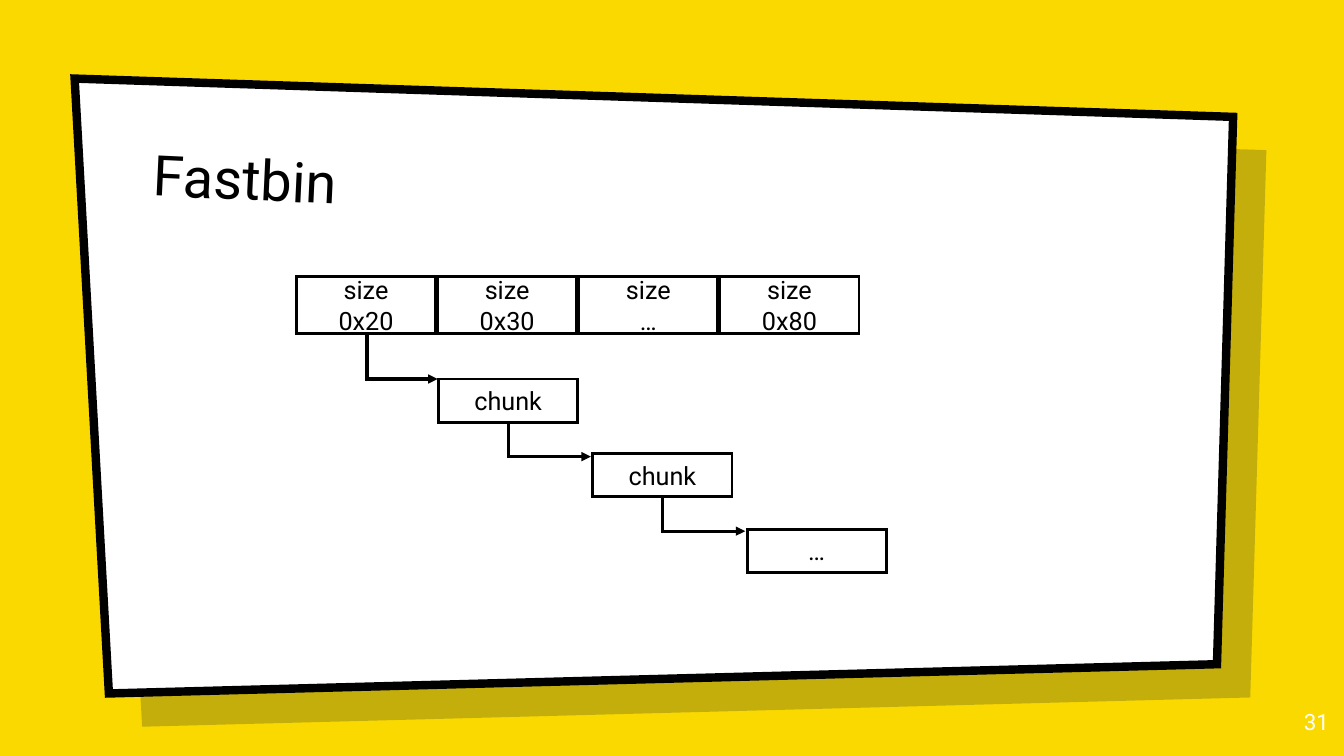
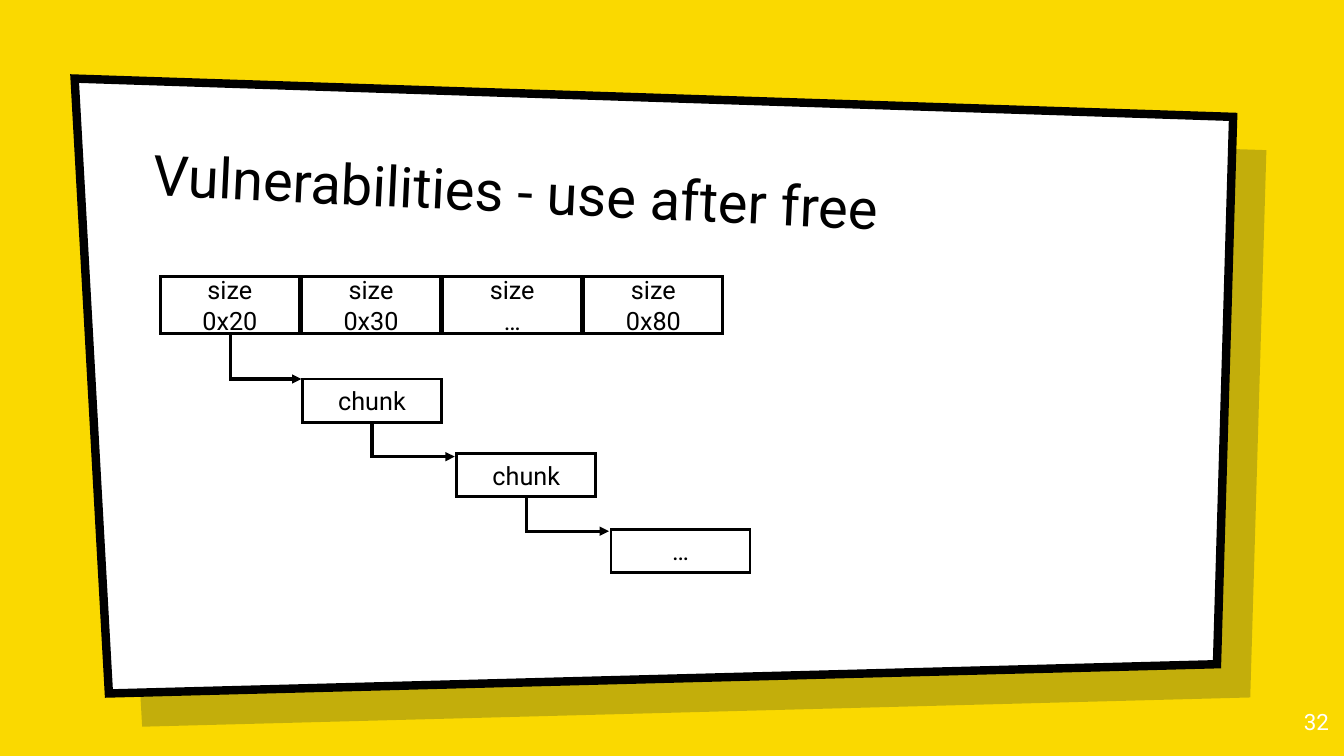
import dataclasses

import lxml.etree
import pptx
import pptx.dml.color
import pptx.enum.shapes
import pptx.enum.text
import pptx.oxml.ns
import pptx.util

Inches = pptx.util.Inches
Pt = pptx.util.Pt
Align = pptx.enum.text.PP_ALIGN
Anchor = pptx.enum.text.MSO_ANCHOR


@dataclasses.dataclass(frozen=True)
class Theme:
    font: str = "Roboto"
    back: str = "FAD900"
    shade: str = "001936"
    ink: str = "000000"
    paper: str = "FFFFFF"
    title: int = 40
    body: int = 18
    page: int = 16
    frame: float = 6
    edge: float = 2
    arrow: float = 2.25


THEME = Theme()
CARD = [(0.74, 0.78), (12.23, 1.16), (12.07, 6.59), (1.08, 6.88)]
SHIFT = 0.33
SIZES = ["0x20", "0x30", "…", "0x80"]
CHUNKS = [("chunk", 1.41, 3.76), ("chunk", 2.94, 4.5), ("…", 4.47, 5.25)]
ARROWS = [(0.7, 3.31, 0.7, 0.45), (2.1, 4.19, 0.82, 0.34), (3.63, 4.93, 0.82, 0.34)]
BOX = 1.38
STEP = 1.4


def color(code):
    return pptx.dml.color.RGBColor.from_string(code)


def child(parent, tag, **attrs):
    return lxml.etree.SubElement(parent, pptx.oxml.ns.qn(tag), attrs)


def paint(shape, fill, width=None):
    shape.shadow.inherit = False
    shape.fill.solid()
    shape.fill.fore_color.rgb = color(fill)
    if width is None:
        shape.line.fill.background()
    else:
        shape.line.width = Pt(width)
        shape.line.color.rgb = color(THEME.ink)
        child(shape.line._get_or_add_ln(), "a:miter", lim="800000")


def write(shape, text, size, ink, align, anchor, inset=0.05):
    frame = shape.text_frame
    frame.text = text
    frame.word_wrap = True
    frame.auto_size = pptx.enum.text.MSO_AUTO_SIZE.NONE
    frame.vertical_anchor = anchor
    frame.margin_left = frame.margin_right = Inches(0.1)
    frame.margin_top = frame.margin_bottom = Inches(inset)
    for para in frame.paragraphs:
        para.alignment = align
        for run in para.runs:
            run.font.name = THEME.font
            run.font.size = Pt(size)
            run.font.color.rgb = color(ink)


def add_card(slide, shift, fill, width=None):
    points = [(Inches(x + shift), Inches(y + shift)) for x, y in CARD]
    outline = slide.shapes.build_freeform(*points[0])
    outline.add_line_segments(points[1:])
    card = outline.convert_to_shape()
    paint(card, fill, width)
    return card


def add_frame(slide):
    shade = add_card(slide, SHIFT, THEME.shade)
    tint = shade.element.spPr.find(".//" + pptx.oxml.ns.qn("a:srgbClr"))
    child(tint, "a:alpha", val="22000")
    card = add_card(slide, 0, THEME.paper, THEME.frame)
    tree = slide.slide_layout.shapes.element
    tree.insert(2, shade.element)
    tree.insert(3, card.element)


def add_title(slide, text):
    title = slide.shapes.title
    title.left, title.top = Inches(1.42), Inches(1.28)
    title.width, title.height = Inches(10.25), Inches(1.11)
    title.rotation = 2.7
    write(title, text, THEME.title, THEME.ink, Align.LEFT, Anchor.BOTTOM, 0.1)


def add_page(slide, number):
    box = slide.shapes.add_textbox(Inches(12.48), Inches(6.93), Inches(0.8), Inches(0.57))
    write(box, str(number), THEME.page, THEME.paper, Align.RIGHT, Anchor.TOP, 0.1)


def add_box(slide, text, left, top, height):
    box = slide.shapes.add_shape(
        pptx.enum.shapes.MSO_SHAPE.RECTANGLE,
        Inches(left), Inches(top), Inches(BOX), Inches(height),
    )
    paint(box, THEME.paper, THEME.edge)
    write(box, text, THEME.body, THEME.ink, Align.CENTER, Anchor.MIDDLE)


def add_arrow(slide, left, top, run, drop):
    mid_x, mid_y = left + run / 2, top + drop / 2
    arrow = slide.shapes.add_connector(
        pptx.enum.shapes.MSO_CONNECTOR.ELBOW,
        Inches(mid_x + drop / 2), Inches(mid_y - run / 2),
        Inches(mid_x - drop / 2), Inches(mid_y + run / 2),
    )
    arrow.line.width = Pt(THEME.arrow)
    arrow.line.color.rgb = color(THEME.ink)
    props = arrow.element.spPr
    props.find(pptx.oxml.ns.qn("a:xfrm")).set("rot", "16200000")
    props.find(pptx.oxml.ns.qn("a:prstGeom")).set("prst", "bentConnector2")
    line = arrow.line._get_or_add_ln()
    child(line, "a:miter", lim="800000")
    child(line, "a:tailEnd", type="triangle")
    child(props, "a:effectLst")


def add_bins(slide, left):
    for index, size in enumerate(SIZES):
        add_box(slide, f"size\n{size}", left + index * STEP, 2.74, 0.57)
    for text, shift, top in CHUNKS:
        add_box(slide, text, left + shift, top, 0.43)
    for shift, top, run, drop in ARROWS:
        add_arrow(slide, left + shift, top, run, drop)


def add_slide(deck, layout, title, number, left):
    slide = deck.slides.add_slide(layout)
    add_title(slide, title)
    add_page(slide, number)
    add_bins(slide, left)
    return slide


def main():
    deck = pptx.Presentation()
    deck.slide_width, deck.slide_height = Inches(13.33), Inches(7.5)
    back = deck.slide_master.background.fill
    back.solid()
    back.fore_color.rgb = color(THEME.back)
    layout = deck.slide_layouts.get_by_name("Title Only")
    first = add_slide(deck, layout, "Fastbin", 31, 2.94)
    add_frame(first)
    add_slide(deck, layout, "Vulnerabilities - use after free", 32, 1.59)
    deck.save("out.pptx")


if __name__ == "__main__":
    main()
